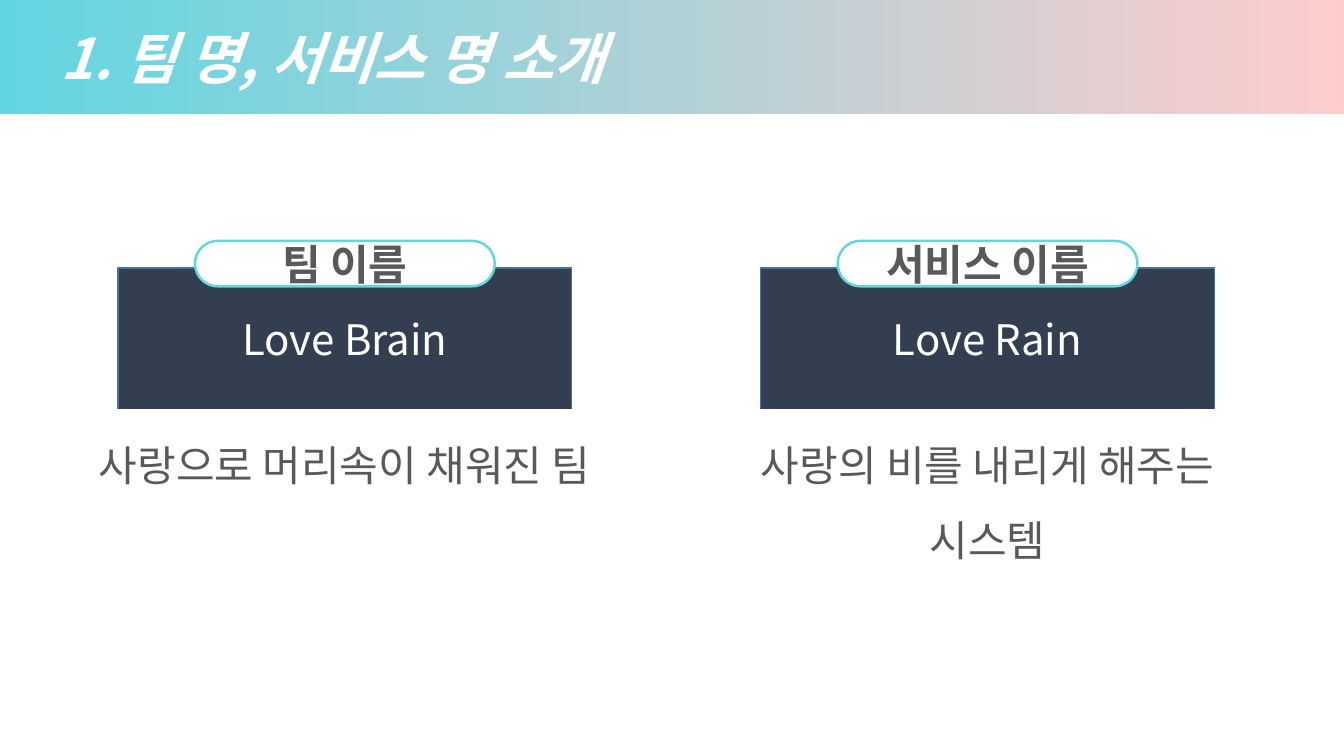
from dataclasses import dataclass

from lxml.etree import SubElement
from pptx import Presentation
from pptx.dml.color import RGBColor as RGB
from pptx.enum.shapes import MSO_SHAPE as Kind
from pptx.enum.text import MSO_ANCHOR as Anchor, PP_ALIGN as Align
from pptx.oxml.ns import qn
from pptx.shapes.autoshape import Shape
from pptx.util import Inches, Pt


@dataclass(frozen=True)
class Theme:
    font: str = "Noto Sans CJK KR"
    white: str = "FFFFFF"
    navy: str = "333F50"
    edge: str = "43739E"
    teal: str = "61D6E1"
    pink: str = "FFCCCC"
    grey: str = "595959"
    title: int = 40
    body: int = 30


@dataclass(frozen=True)
class Box:
    """Place as percent of the slide: centre, top, width, height."""
    mid: float
    top: float
    wide: float
    high: float


@dataclass(frozen=True)
class Card:
    mid: float
    label: str
    name: str
    note: str


look = Theme()
cards = [
    Card(25.66, "팀 이름", "Love Brain", "사랑으로 머리속이 채워진 팀"),
    Card(73.48, "서비스 이름", "Love Rain", "사랑의 비를 내리게 해주는 시스템"),
]

deck = Presentation()
deck.slide_width, deck.slide_height = Inches(13.33), Inches(7.5)
slide = deck.slides.add_slide(deck.slide_layouts[6])


def draw(kind: Kind, box: Box, fill: str, line: str = "", width: float = 1) -> Shape:
    """Add a flat shape; no line colour means no outline."""
    col, row = deck.slide_width / 100, deck.slide_height / 100
    shape = slide.shapes.add_shape(
        kind, int((box.mid - box.wide / 2) * col), int(box.top * row),
        int(box.wide * col), int(box.high * row))
    shape.shadow.inherit = False
    shape.fill.solid()
    shape.fill.fore_color.rgb = RGB.from_string(fill)
    if line:
        shape.line.color.rgb = RGB.from_string(line)
        shape.line.width = Pt(width)
    else:
        shape.line.fill.background()
    return shape


def write(shape: Shape, text: str, size: int, hue: str, bold: bool = False,
          italic: bool = False, align: Align = Align.CENTER) -> None:
    """Set one styled paragraph in the shape."""
    frame = shape.text_frame
    frame.word_wrap = True
    frame.text = text
    para = frame.paragraphs[0]
    para.alignment = align
    font = para.runs[0].font
    font.name, font.size = look.font, Pt(size)
    font.bold, font.italic = bold, italic
    font.color.rgb = RGB.from_string(hue)
    # Korean glyphs take the East Asian typeface
    SubElement(para.runs[0]._r.get_or_add_rPr(), qn("a:ea"), typeface=look.font)


def panel(card: Card) -> None:
    """Draw a name block, its note below and its label on top."""
    block = draw(Kind.RECTANGLE, Box(card.mid, 35.47, 33.75, 18.67),
                 look.navy, look.edge)
    write(block, card.name, look.body, look.white)

    note = draw(Kind.ROUND_2_SAME_RECTANGLE, Box(card.mid, 54.13, 42.2, 23.2),
                look.white)
    note.adjustments[0] = 0
    write(note, card.note, look.body, look.grey)
    frame = note.text_frame
    frame.vertical_anchor = Anchor.TOP
    frame.margin_left = frame.margin_right = Inches(0.2)
    frame.paragraphs[0].line_spacing = 1.5

    label = draw(Kind.ROUNDED_RECTANGLE, Box(card.mid, 31.87, 22.3, 6),
                 look.white, look.teal, 1.75)
    label.adjustments[0] = 0.5
    write(label, card.label, look.body, look.grey, bold=True)


# Cards
for card in cards:
    panel(card)

# Header band
band = draw(Kind.RECTANGLE, Box(50, 0, 100, 15.07), look.teal)
band.fill.gradient()
band.fill.gradient_angle = 0
for stop, hue, place in zip(band.fill.gradient_stops, (look.teal, look.pink), (0, 1)):
    stop.color.rgb = RGB.from_string(hue)
    stop.position = place
write(band, "1. 팀 명, 서비스 명 소개", look.title, look.white,
      bold=True, italic=True, align=Align.LEFT)
band.text_frame.paragraphs[0]._p.get_or_add_pPr().set("marL", str(Inches(0.5)))

deck.save("out.pptx")
